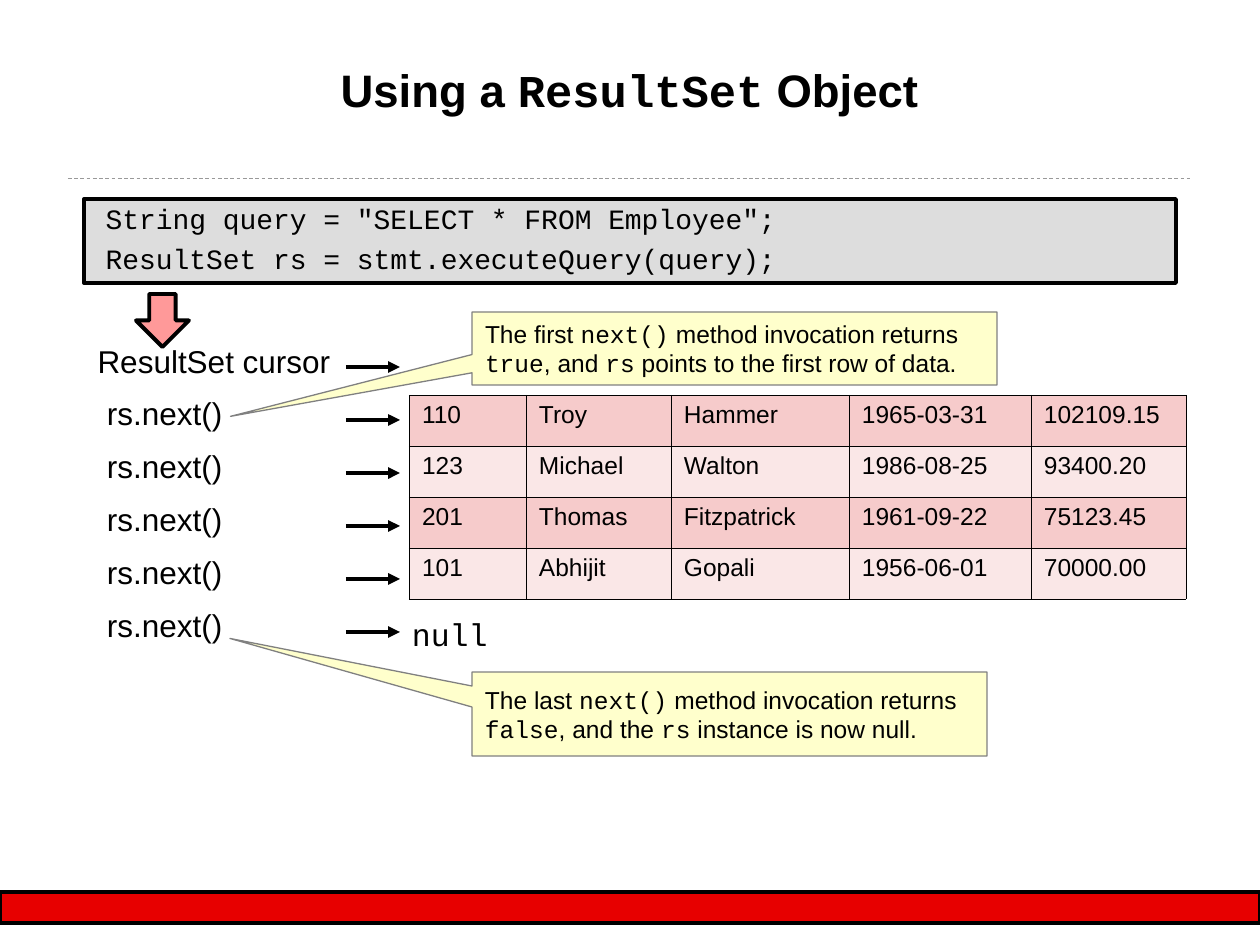
from lxml import etree
from pptx import Presentation
from pptx import util as u
from pptx.dml.color import RGBColor
from pptx.enum import dml, shapes, text
from pptx.oxml import ns

PX = 914400 / 126
SANS, MONO = "Arial", "Courier New"


def paint(target, fill=None, line=None, weight=1):
    """Set the fill and outline of a shape, or the outline of a connector."""
    if fill:
        target.shadow.inherit = False
        target.fill.solid()
        target.fill.fore_color.rgb = RGBColor.from_string(fill)
    else:
        etree.SubElement(target._element.spPr, ns.qn("a:effectLst"))
    target.line.color.rgb = RGBColor.from_string(line)
    target.line.width = u.Pt(weight)


def write(frame, content, size=14, bold=False, align=text.PP_ALIGN.LEFT,
          anchor=text.MSO_ANCHOR.TOP, gap=0, inset=(13, 6), wrap=True):
    """Write lines of text; parts between backticks are monospaced."""
    frame.word_wrap = wrap
    frame.vertical_anchor = anchor
    frame.margin_left = frame.margin_right = round(inset[0] * PX)
    frame.margin_top = frame.margin_bottom = round(inset[1] * PX)
    for row, line in enumerate(content.split("\n")):
        para = frame.add_paragraph() if row else frame.paragraphs[0]
        para.alignment = align
        if row:
            para.space_before = u.Pt(gap)
        for part, words in enumerate(line.split("`")):
            if words:
                span = para.add_run()
                span.text = words
                span.font.name = MONO if part % 2 else SANS
                span.font.size = u.Pt(size)
                span.font.bold = bold
                span.font.color.rgb = RGBColor.from_string("000000")


deck = Presentation()
deck.slide_width, deck.slide_height = u.Inches(10), u.Inches(7.5)
page = deck.slides.add_slide(deck.slide_layouts[6])
items = page.shapes

# Dashed rule under the title
rule = items.add_connector(shapes.MSO_CONNECTOR.STRAIGHT,
                           *[round(v * PX) for v in (68, 178, 1192, 178)])
paint(rule, line="999999", weight=0.5)
rule.line.dash_style = dml.MSO_LINE.DASH

# Footer, code panel and cursor arrow
for kind, place, fill in [
    (shapes.MSO_SHAPE.FLOWCHART_PROCESS, (0, 892, 1260, 31), "E70000"),
    (shapes.MSO_SHAPE.RECTANGLE, (84, 199, 1092, 84), "DDDDDD"),
    (shapes.MSO_SHAPE.DOWN_ARROW, (136, 294, 53, 53), "FF9999"),
]:
    shape = items.add_shape(kind, *[round(v * PX) for v in place])
    paint(shape, fill, "000000", 2.25)

# Title, code, cursor label, null result and one label per next() call
STEP, FIRST_ARROW = 53, 367
code = ('` String query = "SELECT * FROM Employee";`\n'
        "` ResultSet rs = stmt.executeQuery(query);`")
labels = [
    ((84, 61, 1091, 115), "Using a `ResultSet` Object",
     dict(size=26, bold=True, align=text.PP_ALIGN.CENTER, inset=(1, 1))),
    ((87, 201, 1089, 78), code, dict(size=16, gap=3.5, inset=(2, 1))),
    ((74, 336, 280, 50), "ResultSet cursor",
     dict(size=18, align=text.PP_ALIGN.CENTER)),
    ((399, 609, 116, 50), "`null`", dict(size=18)),
]
for call in range(1, 6):
    top = FIRST_ARROW + STEP * call - 32
    labels.append(((94, top, 190, 50), "rs.next()", dict(size=18)))
for place, content, look in labels:
    box = items.add_textbox(*[round(v * PX) for v in place])
    write(box.text_frame, content, **look)

# Arrows from the labels to the rows
for row in range(6):
    y = FIRST_ARROW + STEP * row
    arrow = items.add_connector(shapes.MSO_CONNECTOR.STRAIGHT,
                                *[round(v * PX) for v in (346, y, 400, y)])
    paint(arrow, line="000000", weight=2.25)
    etree.SubElement(arrow.line._get_or_add_ln(), ns.qn("a:tailEnd"), type="triangle")

# Employee table
employees = [
    ("110", "Troy", "Hammer", "1965-03-31", "102109.15"),
    ("123", "Michael", "Walton", "1986-08-25", "93400.20"),
    ("201", "Thomas", "Fitzpatrick", "1961-09-22", "75123.45"),
    ("101", "Abhijit", "Gopali", "1956-06-01", "70000.00"),
]
widths, row_height = (117, 145, 178, 182, 155), 51
place = (409, 395, sum(widths), row_height * len(employees))
table = items.add_table(len(employees), len(widths),
                        *[round(v * PX) for v in place]).table
table.first_row = table.horz_banding = False
for column, width in zip(table.columns, widths):
    column.width = round(width * PX)
for row, record in enumerate(employees):
    for col, value in enumerate(record):
        cell = table.cell(row, col)
        write(cell.text_frame, value)
        cell.margin_left = cell.margin_right = round(13 * PX)
        cell.margin_top = cell.margin_bottom = round(6 * PX)
        props = cell._tc.get_or_add_tcPr()
        for side in ("lnL", "lnR", "lnT", "lnB"):
            border = etree.SubElement(props, ns.qn("a:" + side), w=str(u.Pt(0.34)))
            solid = etree.SubElement(border, ns.qn("a:solidFill"))
            etree.SubElement(solid, ns.qn("a:srgbClr"), val="000000")
        cell.fill.solid()
        cell.fill.fore_color.rgb = RGBColor.from_string(("F6CBCB", "FAE7E7")[row % 2])

# Callouts pointing at the first and last calls
for place, pointer, content in [
    ((472, 672, 515, 84), (-0.97, -0.9),
     "The last `next()` method invocation returns `false`, "
     "and the `rs` instance is now null."),
    ((472, 312, 525, 73), (-0.96, 0.93),
     "The first `next()` method invocation returns `true`, "
     "and `rs` points to the first row of data."),
]:
    callout = items.add_shape(shapes.MSO_SHAPE.RECTANGULAR_CALLOUT,
                              *[round(v * PX) for v in place])
    callout.adjustments[0], callout.adjustments[1] = pointer
    paint(callout, "FFFFCC", "808080", 0.75)
    write(callout.text_frame, content, anchor=text.MSO_ANCHOR.MIDDLE, inset=(13, 1))

deck.save("out.pptx")
